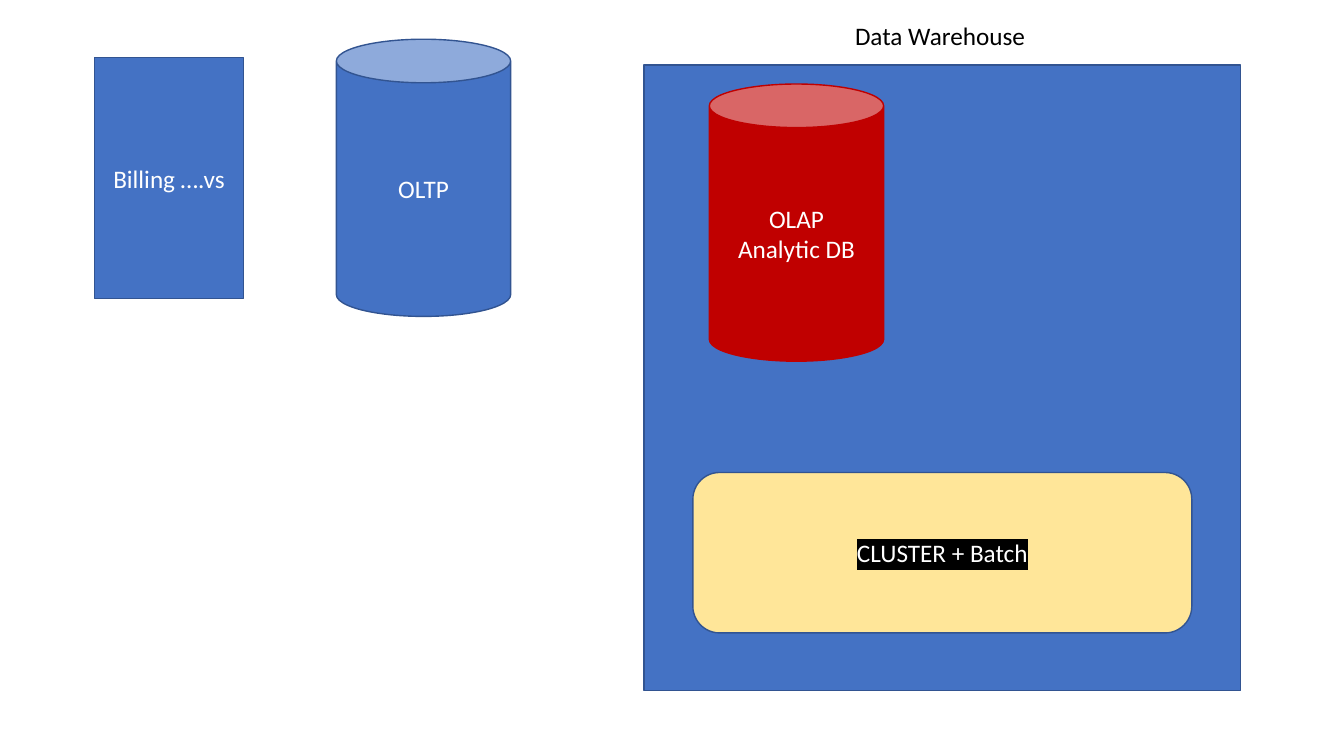
import pptx
import pptx.util
import pptx.dml.color
import pptx.enum.shapes
import pptx.enum.text
import pptx.oxml.ns
import lxml.etree

Pt = pptx.util.Pt
MSO = pptx.enum.shapes.MSO_SHAPE
ALIGN = pptx.enum.text.PP_ALIGN

FONT = "Calibri"
COLORS = {
    "blue": "4472C4",
    "outline": "325491",
    "red": "C00000",
    "yellow": "FFE699",
    "white": "FFFFFF",
    "black": "000000",
}
CAN_SIZE = (124.5, 198)  # both databases share one size


def rgb(name):
    return pptx.dml.color.RGBColor.from_string(COLORS[name])


def set_text(tf, text, color, align):
    tf.text = text
    for p in tf.paragraphs:
        p.alignment = align
        for r in p.runs:
            r.font.name = FONT
            r.font.size = Pt(18)
            r.font.color.rgb = rgb(color)


def highlight(r, color):
    """Put a highlight right after the run's fill, as the schema orders it."""
    qn = pptx.oxml.ns.qn
    mark = lxml.etree.Element(qn("a:highlight"))
    lxml.etree.SubElement(mark, qn("a:srgbClr"), val=COLORS[color])
    r.font._element.find(qn("a:solidFill")).addnext(mark)


def add_block(s, kind, left, top, width, height, text="",
              fill="blue", line="outline"):
    sp = s.shapes.add_shape(kind, Pt(left), Pt(top), Pt(width), Pt(height))
    sp.shadow.inherit = False
    sp.fill.solid()
    sp.fill.fore_color.rgb = rgb(fill)
    sp.line.color.rgb = rgb(line)
    sp.line.width = Pt(1)
    sp.text_frame.vertical_anchor = pptx.enum.text.MSO_ANCHOR.MIDDLE
    if text:
        set_text(sp.text_frame, text, "white", ALIGN.CENTER)
    return sp


def add_label(s, left, top, width, height, text):
    sp = s.shapes.add_textbox(Pt(left), Pt(top), Pt(width), Pt(height))
    tf = sp.text_frame
    tf.word_wrap = False
    tf.auto_size = pptx.enum.text.MSO_AUTO_SIZE.SHAPE_TO_FIT_TEXT
    set_text(tf, text, "black", ALIGN.LEFT)


def main():
    prs = pptx.Presentation()
    prs.slide_width, prs.slide_height = Pt(960), Pt(540)
    s = prs.slides.add_slide(prs.slide_layouts[6])

    # Operational side
    add_block(s, MSO.CAN, 240.3, 28, *CAN_SIZE, text="OLTP")
    add_block(s, MSO.RECTANGLE, 67.5, 41.2, 106.5, 172, text="Billing ….vs")

    # Data warehouse and its contents
    add_block(s, MSO.RECTANGLE, 460, 46.5, 426.2, 446.8)
    add_block(s, MSO.CAN, 506.7, 60, *CAN_SIZE, text="OLAP\nAnalytic DB",
              fill="red", line="red")
    add_label(s, 599.6, 11.3, 147, 29, " Data Warehouse")
    cluster = add_block(s, MSO.ROUNDED_RECTANGLE, 494.9, 337.5, 356.4, 114.6,
                        text="CLUSTER + Batch", fill="yellow")
    highlight(cluster.text_frame.paragraphs[0].runs[0], "black")

    prs.save("out.pptx")


main()
